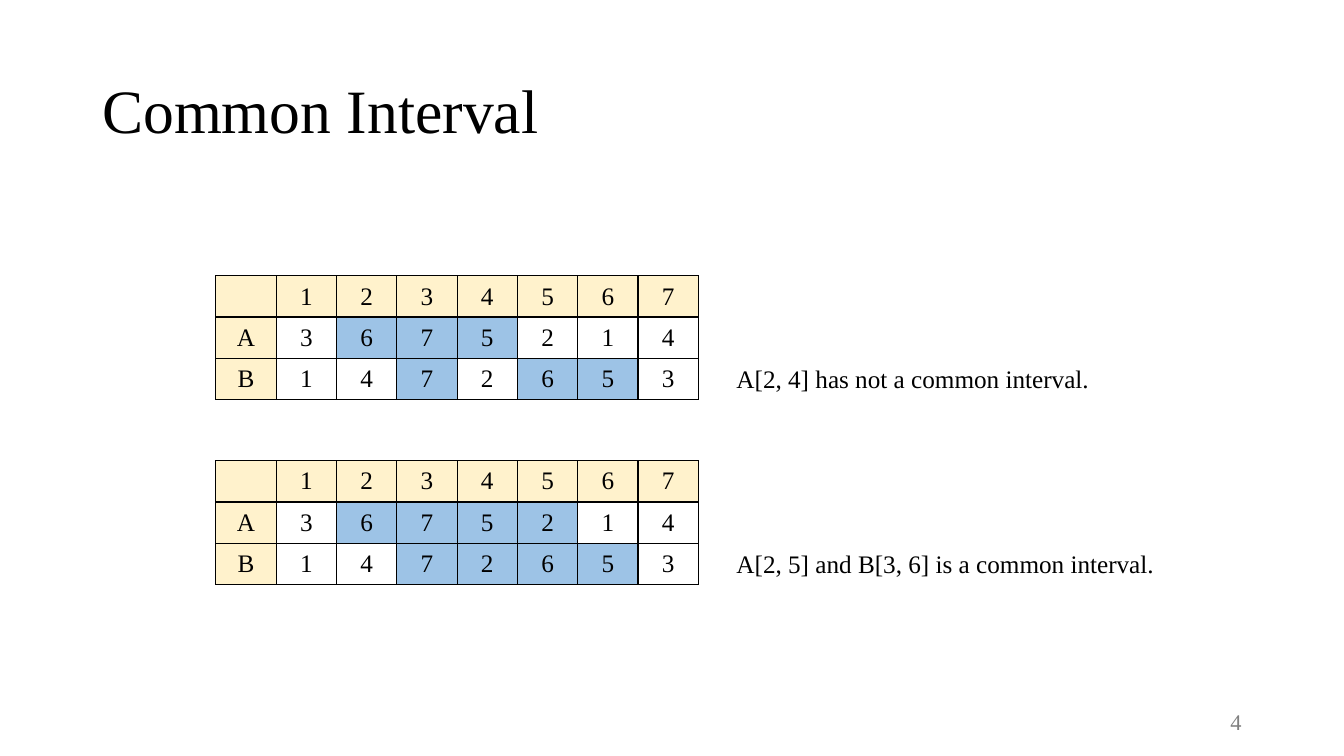
from dataclasses import dataclass

from lxml import etree
from pptx import Presentation
from pptx.dml.color import RGBColor
from pptx.enum.text import MSO_ANCHOR, PP_ALIGN
from pptx.oxml.ns import qn
from pptx.util import Cm, Pt

LEFT, MID, RIGHT = PP_ALIGN.LEFT, PP_ALIGN.CENTER, PP_ALIGN.RIGHT
TOP, CENTER = MSO_ANCHOR.TOP, MSO_ANCHOR.MIDDLE


@dataclass(frozen=True)
class Theme:
    font: str = "Times New Roman"
    ink: str = "000000"
    gray: str = "808080"
    head: str = "FFF2CC"
    mark: str = "9DC3E6"
    title: int = 44
    body: int = 18
    page: int = 16


THEME = Theme()
ROWS = {"A": [3, 6, 7, 5, 2, 1, 4], "B": [1, 4, 7, 2, 6, 5, 3]}
# First and last place of the interval in A, and its caption
CASES = [
    (2, 4, "A[2, 4] has not a common interval."),
    (2, 5, "A[2, 5] and B[3, 6] is a common interval."),
]
SIDE, TALL = 1.52, 1.04  # cell width and height


def write(frame, text, size=THEME.body, color=THEME.ink, align=LEFT, space=1.0):
    para = frame.paragraphs[0]
    para.alignment = align
    para.line_spacing = space
    run = para.add_run()
    run.text = text
    run.font.name = THEME.font
    run.font.size = Pt(size)
    run.font.color.rgb = RGBColor.from_string(color)


def label(slide, box, text, anchor=TOP, wrap=True, **form):
    frame = slide.shapes.add_textbox(*map(Cm, box)).text_frame
    frame.word_wrap = wrap
    frame.vertical_anchor = anchor
    write(frame, text, **form)


def border(cell):
    props = cell._tc.get_or_add_tcPr()
    for edge in ("a:lnL", "a:lnR", "a:lnT", "a:lnB"):
        line = etree.SubElement(props, qn(edge), w=str(Pt(1)))
        fill = etree.SubElement(line, qn("a:solidFill"))
        etree.SubElement(fill, qn("a:srgbClr"), val=THEME.ink)


def paint(cell, text, color):
    border(cell)
    if color:
        cell.fill.solid()
        cell.fill.fore_color.rgb = RGBColor.from_string(color)
    else:
        cell.fill.background()
    cell.vertical_anchor = CENTER
    if text:
        write(cell.text_frame, text, align=MID)


def header(slide, box):
    label(slide, box, "Common Interval", anchor=CENTER,
          size=THEME.title, space=0.9)


def panel(slide, box, first, last, note):
    left, top, width, height = box
    grid = [["", *range(1, 8)]] + [[key, *vals] for key, vals in ROWS.items()]
    table = slide.shapes.add_table(
        len(grid), len(grid[0]), *map(Cm, box)).table
    table.first_row = table.horz_banding = False
    for col in table.columns:
        col.width = Cm(SIDE)
    # Both rows mark the values that lie in the interval of A
    marked = ROWS["A"][first - 1:last]
    for r, row in enumerate(grid):
        table.rows[r].height = Cm(TALL)
        for c, value in enumerate(row):
            if r == 0 or c == 0:
                color = THEME.head
            else:
                color = THEME.mark if value in marked else None
            paint(table.cell(r, c), str(value), color)
    # Caption beside the last row
    label(slide, (left + width + 0.71, top + 2 * TALL, 11.2, 1.02),
          note, wrap=False)


def footer(slide, box):
    label(slide, box, "4", anchor=CENTER, size=THEME.page,
          color=THEME.gray, align=RIGHT)


def main():
    deck = Presentation()
    deck.slide_width, deck.slide_height = Cm(33.87), Cm(19.05)
    slide = deck.slides.add_slide(deck.slide_layouts[6])
    header(slide, (2.33, 1.02, 29.21, 3.68))
    for i, case in enumerate(CASES):
        panel(slide, (5.44, 6.95 + 4.66 * i, 8 * SIDE, 3 * TALL), *case)
    footer(slide, (23.92, 17.66, 7.62, 1.02))
    deck.save("out.pptx")


if __name__ == "__main__":
    main()
